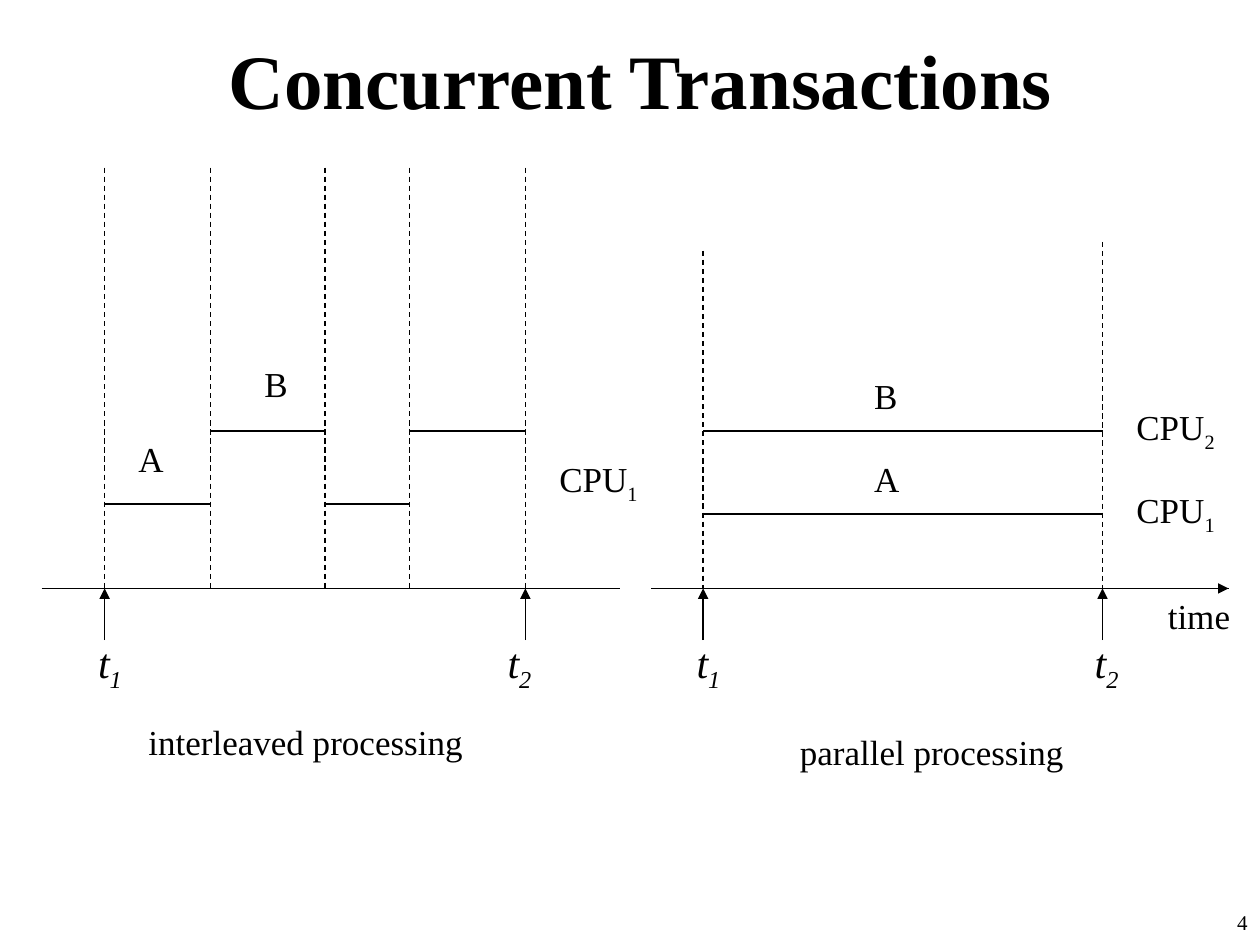
from lxml import etree
from pptx import Presentation
from pptx.dml.color import RGBColor
from pptx.enum.dml import MSO_LINE
from pptx.enum.shapes import MSO_CONNECTOR
from pptx.enum.text import MSO_ANCHOR as Anchor, MSO_AUTO_SIZE as AutoSize, PP_ALIGN as Align
from pptx.oxml.ns import qn
from pptx.util import Inches, Pt

COLORS = {"ink": "000000", "paper": "FFFFFF"}
FONT = "Times New Roman"
AXIS_Y, ARROW_Y = 4.67, 5.08
LOW_Y, HIGH_Y = 4, 3.42


class Diagram:
    def __init__(self, slide):
        self.slide = slide
        self.ink = RGBColor.from_string(COLORS["ink"])
        background = slide.background.fill
        background.solid()
        background.fore_color.rgb = RGBColor.from_string(COLORS["paper"])

    def line(self, start, end, width=0.75, dashed=False, arrow=False):
        connector = self.slide.shapes.add_connector(
            MSO_CONNECTOR.STRAIGHT, *map(Inches, (*start, *end)))
        connector.line.color.rgb = self.ink
        connector.line.width = Pt(width)
        if dashed:
            connector.line.dash_style = MSO_LINE.DASH
        if arrow:
            etree.SubElement(connector.line._get_or_add_ln(), qn("a:tailEnd"), type="triangle")
        etree.SubElement(connector._element.spPr, qn("a:effectLst"))

    def text(self, words, box, size=20, subscript="", align=Align.LEFT,
             bold=False, italic=False):
        """Write words in box (left, top, width, height), with an optional subscript."""
        frame = self.slide.shapes.add_textbox(*map(Inches, box)).text_frame
        frame.word_wrap = True
        frame.auto_size = AutoSize.NONE
        frame.text = words
        paragraph = frame.paragraphs[0]
        paragraph.alignment = align
        if subscript:
            index = paragraph.add_run()
            index.text = subscript
            index._r.get_or_add_rPr().set("baseline", "-25000")
        for run in paragraph.runs:
            font = run.font
            font.name, font.size = FONT, Pt(size)
            font.bold, font.italic = bold, italic
            font.color.rgb = self.ink
        return frame

    def boundary(self, x, top):
        self.line((x, top), (x, AXIS_Y), dashed=True)

    def activity(self, left, right, y):
        self.line((left, y), (right, y), width=1.5)

    def time_mark(self, x, index, label_left):
        self.line((x, ARROW_Y), (x, AXIS_Y), arrow=True)
        self.text("t", (label_left, 5, 0.44, 0.56), size=24, subscript=index, italic=True)

    def transaction(self, name, left, top):
        self.text(name, (left, top, 0.44, 0.44))

    def cpu(self, index, left, top):
        self.text("CPU", (left, top, 0.88, 0.48), subscript=index)


def draw_interleaved(diagram):
    switches = [0.83, 1.67, 2.58, 3.25, 4.17]
    diagram.line((0.33, AXIS_Y), (4.92, AXIS_Y))
    for x in switches:
        diagram.boundary(x, 1.33)
    for turn, (left, right) in enumerate(zip(switches, switches[1:])):
        diagram.activity(left, right, HIGH_Y if turn % 2 else LOW_Y)
    diagram.time_mark(switches[0], "1", 0.68)
    diagram.time_mark(switches[-1], "2", 3.93)
    diagram.transaction("A", 1, 3.42)
    diagram.transaction("B", 2, 2.83)
    diagram.cpu("1", 4.34, 3.58)
    diagram.text("interleaved processing", (1.08, 5.67, 2.8, 0.44))


def draw_parallel(diagram):
    start, end = 5.58, 8.75
    diagram.line((5.17, AXIS_Y), (9.75, AXIS_Y))
    diagram.line((9, AXIS_Y), (9.75, AXIS_Y), arrow=True)
    diagram.text("time", (9.17, AXIS_Y, 0.78, 0.44))
    diagram.boundary(start, 1.99)
    diagram.boundary(end, 1.92)
    diagram.time_mark(start, "1", 5.43)
    diagram.time_mark(end, "2", 8.59)
    for name, index, y, name_top, cpu_top in (("A", "1", 4.08, 3.58, 3.83),
                                              ("B", "2", HIGH_Y, 2.92, 3.17)):
        diagram.activity(start, end, y)
        diagram.transaction(name, 6.84, name_top)
        diagram.cpu(index, 8.92, cpu_top)
    diagram.text("parallel processing", (6.25, 5.75, 2.4, 0.44))


def main():
    deck = Presentation()
    deck.slide_width, deck.slide_height = Inches(10), Inches(7.5)
    diagram = Diagram(deck.slides.add_slide(deck.slide_layouts[6]))
    title = diagram.text("Concurrent Transactions", (0.42, 0, 9.33, 1.25), size=44,
                         align=Align.CENTER, bold=True)
    title.vertical_anchor = Anchor.MIDDLE
    draw_interleaved(diagram)
    draw_parallel(diagram)
    diagram.text("4", (7.92, 7.17, 2.08, 0.5), size=12, align=Align.RIGHT)
    deck.save("out.pptx")


if __name__ == "__main__":
    main()
